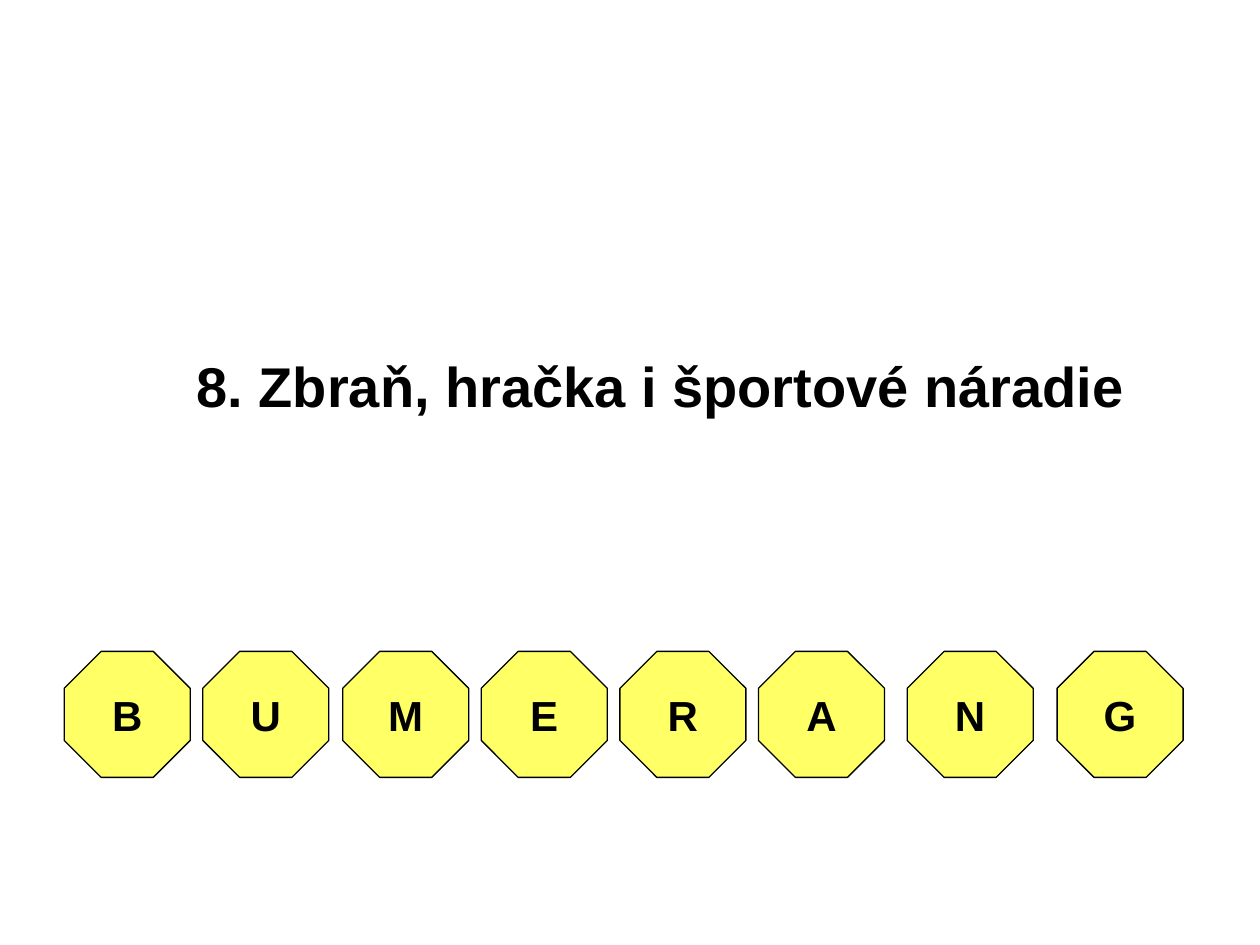
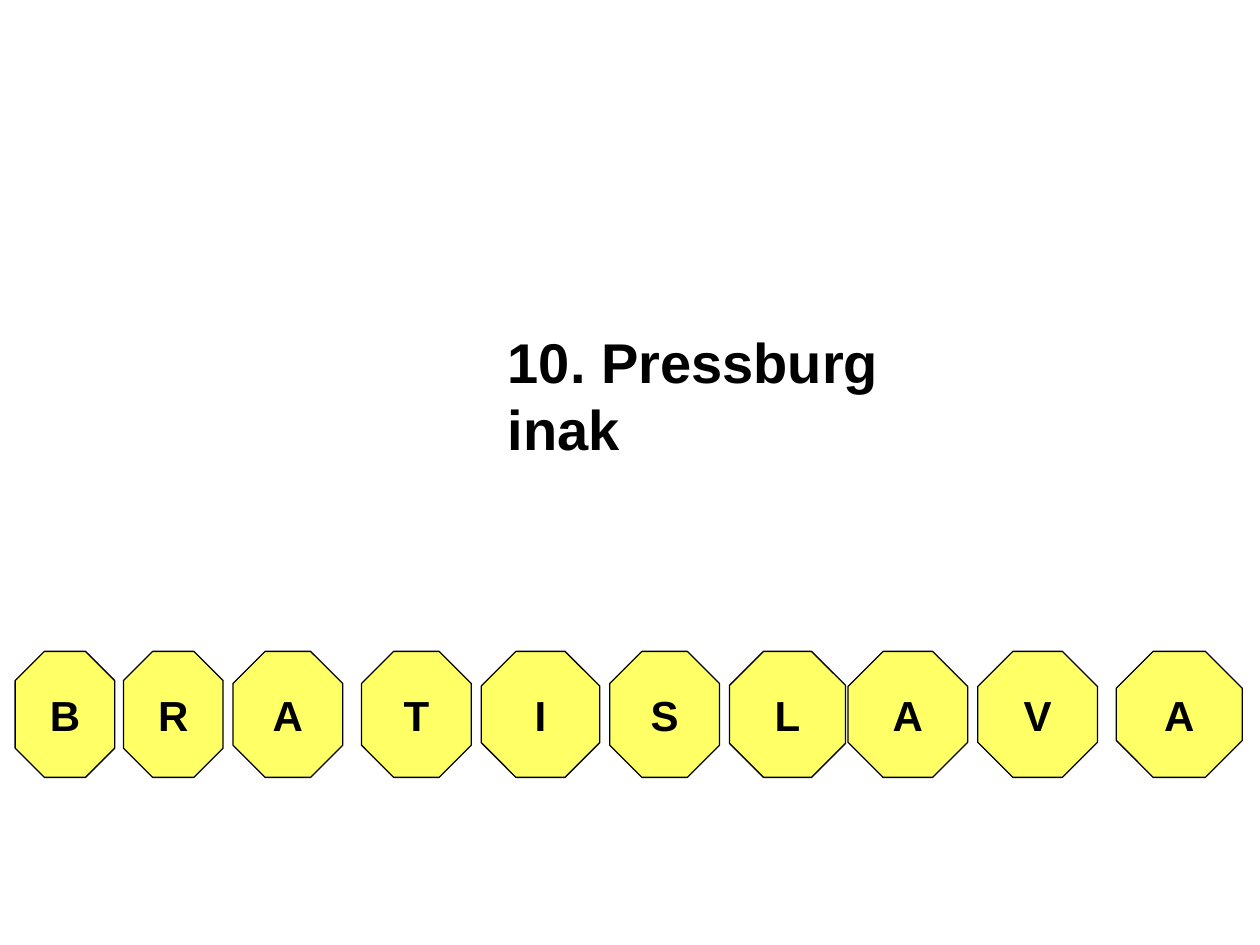
from pptx import Presentation
from pptx.dml.color import RGBColor
from pptx.enum.shapes import MSO_SHAPE
from pptx.enum.text import MSO_ANCHOR, MSO_AUTO_SIZE, PP_ALIGN
from pptx.util import Inches, Pt

OCTAGON = MSO_SHAPE.OCTAGON
MIDDLE = MSO_ANCHOR.MIDDLE
NO_AUTOFIT = MSO_AUTO_SIZE.NONE
LEFT = PP_ALIGN.LEFT
CENTER = PP_ALIGN.CENTER

COLORS = {"paper": "FFFFFF", "ink": "000000", "tile": "FFFF66"}
FONT = "Arial"
TITLE_SIZE, LETTER_SIZE = 32, 24
TITLE_HEIGHT = 1.61
TILE_TOP, TILE_HEIGHT = 5.17, 1
CORNER = 0.293

PUZZLES = [
    {
        "clue": "8. Zbraň, hračka i športové náradie",
        "title": (1.46, 2.25, 8.27),
        "answer": "BUMERANG",
        "lefts": [0.51, 1.61, 2.72, 3.82, 4.92, 6.02, 7.2, 8.39],
        "widths": [1] * 8,
    },
    {
        "clue": "10. Pressburg inak",
        "title": (3.93, 2.33, 3.63),
        "answer": "BRATISLAVA",
        "lefts": [0.12, 0.98, 1.85, 2.87, 3.82, 4.84, 5.79, 6.73, 7.76, 8.86],
        "widths": [0.79, 0.79, 0.87, 0.87, 0.94, 0.87, 0.92, 0.95, 0.95, 1],
    },
]


def color(name):
    return RGBColor.from_string(COLORS[name])


def write(frame, text, size, align, wrap):
    frame.auto_size = NO_AUTOFIT
    frame.word_wrap = wrap
    frame.vertical_anchor = MIDDLE
    frame.margin_left = frame.margin_right = Inches(0.1)
    frame.margin_top = frame.margin_bottom = Inches(0.05)
    frame.text = text
    para = frame.paragraphs[0]
    para.alignment = align
    para.font.name = FONT
    para.font.size = Pt(size)
    para.font.bold = True
    para.font.color.rgb = color("ink")


def place_title(page, clue, left, top, width):
    title = page.shapes.title
    title.left, title.top = Inches(left), Inches(top)
    title.width, title.height = Inches(width), Inches(TITLE_HEIGHT)
    write(title.text_frame, clue, TITLE_SIZE, LEFT, True)


def add_tile(page, letter, left, width):
    tile = page.shapes.add_shape(
        OCTAGON, Inches(left), Inches(TILE_TOP), Inches(width), Inches(TILE_HEIGHT)
    )
    tile.adjustments[0] = CORNER
    tile.shadow.inherit = False
    tile.fill.solid()
    tile.fill.fore_color.rgb = color("tile")
    tile.line.color.rgb = color("ink")
    tile.line.width = Pt(0.75)
    write(tile.text_frame, letter, LETTER_SIZE, CENTER, False)


def main():
    deck = Presentation()
    deck.slide_width, deck.slide_height = Inches(10), Inches(7.5)
    background = deck.slide_master.background.fill
    background.solid()
    background.fore_color.rgb = color("paper")
    title_only = deck.slide_layouts.get_by_name("Title Only")
    for puzzle in PUZZLES:
        page = deck.slides.add_slide(title_only)
        place_title(page, puzzle["clue"], *puzzle["title"])
        for letter, left, width in zip(
            puzzle["answer"], puzzle["lefts"], puzzle["widths"]
        ):
            add_tile(page, letter, left, width)
    deck.save("out.pptx")


if __name__ == "__main__":
    main()
